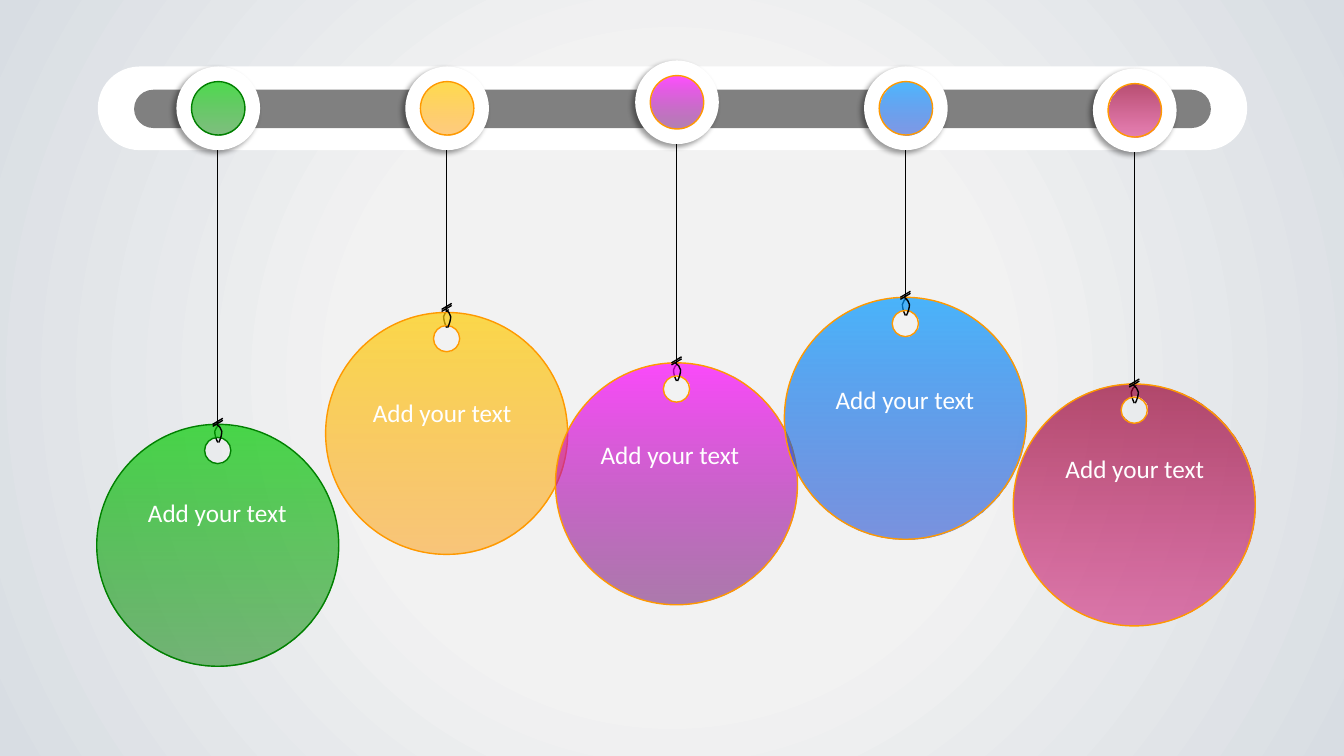
from dataclasses import dataclass

import pptx
import pptx.dml.color
import pptx.enum.dml
import pptx.enum.shapes
import pptx.enum.text
import pptx.oxml
import pptx.oxml.ns
import pptx.util

EMU_PER_PX = 9144  # 100 px to the inch
PAGE_WIDTH, PAGE_HEIGHT = 1333, 750
RING_SIZE, DOT_SIZE = 83, 53
DISC_RADIUS, HOLE_RADIUS, HOLE_DROP = 120, 13, 26
ARC_RATIO = 0.55  # control distance of a quarter circle, in radii
OVAL = pptx.enum.shapes.MSO_SHAPE.OVAL
PILL = pptx.enum.shapes.MSO_SHAPE.ROUNDED_RECTANGLE
Point = tuple[float, float]


@dataclass
class Pendant:
    center: int
    ring_top: int
    disc_top: int
    knot_top: int
    text_left: int
    text_top: int
    start: str
    end: str
    outline: str = "FF9900"


PENDANTS = [
    Pendant(216, 66, 421, 421, 115, 488, "00CC00", "008000", "008000"),
    Pendant(443, 66, 310, 307, 338, 389, "FFCC00", "FF9900"),
    Pendant(671, 60, 360, 360, 564, 431, "FF00FF", "660066"),
    Pendant(898, 66, 295, 295, 797, 376, "0099FF", "0033CC"),
    Pendant(1125, 68, 381, 382, 1025, 445, "990033", "CC0066"),
]


def px(length: float) -> pptx.util.Emu:
    return pptx.util.Emu(round(length * EMU_PER_PX))


def color(value: str) -> pptx.dml.color.RGBColor:
    return pptx.dml.color.RGBColor.from_string(value)


def child(parent, tag: str, **attributes):
    """Append a drawing element to parent and return it."""
    element = pptx.oxml.parse_xml(f"<a:{tag} {pptx.oxml.ns.nsdecls('a')}/>")
    for name, value in attributes.items():
        element.set(name, str(value))
    parent.append(element)
    return element


def set_line(shape, value: str) -> None:
    shape.line.color.rgb = color(value)
    shape.line.width = pptx.util.Pt(1)


def set_gradient(fill, stops: list[tuple[float, str]]) -> None:
    fill.gradient()
    fill.gradient_angle = 270
    for stop, (position, value) in zip(fill.gradient_stops, stops):
        stop.position = position
        stop.color.rgb = color(value)


def tint(shape, pendant: Pendant) -> None:
    """Fill with the pendant's see-through gradient and draw its outline."""
    shape.shadow.inherit = False
    set_gradient(shape.fill, [(0, pendant.start), (1, pendant.end)])
    tones = shape._element.spPr.iter(pptx.oxml.ns.qn("a:srgbClr"))
    for tone, alpha in zip(list(tones), (70000, 50000)):
        child(tone, "alpha", val=alpha)
    set_line(shape, pendant.outline)


def add_plain(shapes, kind, left: int, top: int, width: int, height: int, fill: str):
    shape = shapes.add_shape(kind, px(left), px(top), px(width), px(height))
    shape.shadow.inherit = False
    shape.fill.solid()
    shape.fill.fore_color.rgb = color(fill)
    shape.line.fill.background()
    return shape


def add_line(shapes, start: Point, end: Point) -> None:
    line = shapes.add_connector(
        pptx.enum.shapes.MSO_CONNECTOR.STRAIGHT,
        px(start[0]), px(start[1]), px(end[0]), px(end[1]))
    set_line(line, "000000")
    child(line._element.spPr, "effectLst")


def add_curves(shapes, contours: list[list[Point]], closed: bool):
    """Draw contours, each a start point and three control points per curve."""
    contours = [[(px(x), px(y)) for x, y in contour] for contour in contours]
    builder = shapes.build_freeform(*contours[0][0], scale=1.0)
    for number, contour in enumerate(contours):
        if number:
            builder.move_to(*contour[0])
        builder.add_line_segments(contour[1:], close=closed)
    shape = builder.convert_to_shape()
    shape.shadow.inherit = False

    # Each three segments become one cubic curve
    segments = list(shape._element.iter(pptx.oxml.ns.qn("a:lnTo")))
    for first in range(0, len(segments), 3):
        bend = child(segments[first].getparent(), "cubicBezTo")
        segments[first].addprevious(bend)
        for segment in segments[first:first + 3]:
            bend.append(segment[0])
            segment.getparent().remove(segment)
    return shape


def circle(x: int, y: int, radius: int) -> list[Point]:
    points: list[Point] = [(x + radius, y)]
    for across, down in ((1, 0), (0, 1), (-1, 0), (0, -1)):
        for along, beside in ((1, ARC_RATIO), (ARC_RATIO, 1), (0, 1)):
            points.append((x + radius * (along * across - beside * down),
                           y + radius * (along * down + beside * across)))
    return points


def add_loop(shapes, x: int, y: int, side: int) -> None:
    """Draw one half of the string loop; side is -1 for left, 1 for right."""
    offsets = ((0, 0), (2, 2), (5, 4), (5, 7), (5, 10), (4, 14), (2, 18))
    points = [(x + side * across, y + down) for across, down in offsets]
    loop = add_curves(shapes, [points], closed=False)
    loop.fill.background()
    set_line(loop, "000000")


def add_text(shapes, text: str, left: int, top: int, width: int, height: int, *,
             font: str = "Calibri", size: int = 18, fill: str = "FFFFFF") -> None:
    box = shapes.add_textbox(px(left), px(top), px(width), px(height))
    box.text_frame.word_wrap = True
    box.text_frame.auto_size = pptx.enum.text.MSO_AUTO_SIZE.SHAPE_TO_FIT_TEXT
    para = box.text_frame.paragraphs[0]
    para.alignment = pptx.enum.text.PP_ALIGN.CENTER
    span = para.add_run()
    span.text = text
    span.font.name = font
    span.font.size = pptx.util.Pt(size)
    span.font.color.rgb = color(fill)


def add_pendant(page, pendant: Pendant) -> None:
    shapes = page.shapes.add_group_shape().shapes
    x, knot = pendant.center, pendant.knot_top
    add_loop(shapes, x + 2, knot, -1)

    # Disc with a punched hole
    disc = add_curves(shapes, [
        circle(x, pendant.disc_top + HOLE_DROP, HOLE_RADIUS),
        circle(x, pendant.disc_top + DISC_RADIUS, DISC_RADIUS)], closed=True)
    tint(disc, pendant)

    # Ring and dot on the rail
    ring = add_plain(shapes, OVAL, x - RING_SIZE // 2, pendant.ring_top,
                     RING_SIZE, RING_SIZE, "FFFFFF")
    effects = ring._element.spPr.find(pptx.oxml.ns.qn("a:effectLst"))
    shadow = child(effects, "outerShdw", blurRad=pptx.util.Pt(4),
                   dist=pptx.util.Pt(3), dir=135 * 60000, algn="tr", rotWithShape=0)
    child(child(shadow, "srgbClr", val="000000"), "alpha", val=40000)
    dot = shapes.add_shape(OVAL, px(x - DOT_SIZE // 2), px(pendant.ring_top + 15),
                           px(DOT_SIZE), px(DOT_SIZE))
    tint(dot, pendant)

    # String and knot
    add_line(shapes, (x, pendant.ring_top + RING_SIZE), (x, pendant.disc_top))
    add_loop(shapes, x - 1, knot, 1)
    for drop in (2, 0):
        add_line(shapes, (x - 5, knot + drop), (x + 5, knot + drop - 6))

    add_text(shapes, "Add your text", pendant.text_left, pendant.text_top, 201, 40)


def main() -> None:
    deck = pptx.Presentation()
    deck.slide_width, deck.slide_height = px(PAGE_WIDTH), px(PAGE_HEIGHT)
    page = deck.slides.add_slide(deck.slide_layouts[6])

    # Radial background
    set_gradient(page.background.fill, [(0.41, "F2F2F2"), (1, "D8DDE3")])
    linear = next(page._element.iter(pptx.oxml.ns.qn("a:lin")))
    gradient = linear.getparent()
    gradient.remove(linear)
    radial = child(gradient, "path", path="circle")
    child(radial, "fillToRect", l=50000, t=50000, r=50000, b=50000)

    # Rail
    for left, top, width, height, fill in ((97, 66, 1140, 83, "FFFFFF"),
                                           (133, 89, 1068, 38, "808080")):
        add_plain(page.shapes, PILL, left, top, width, height, fill).adjustments[0] = 0.5

    for pendant in PENDANTS:
        add_pendant(page, pendant)
    deck.save("out.pptx")


if __name__ == "__main__":
    main()
